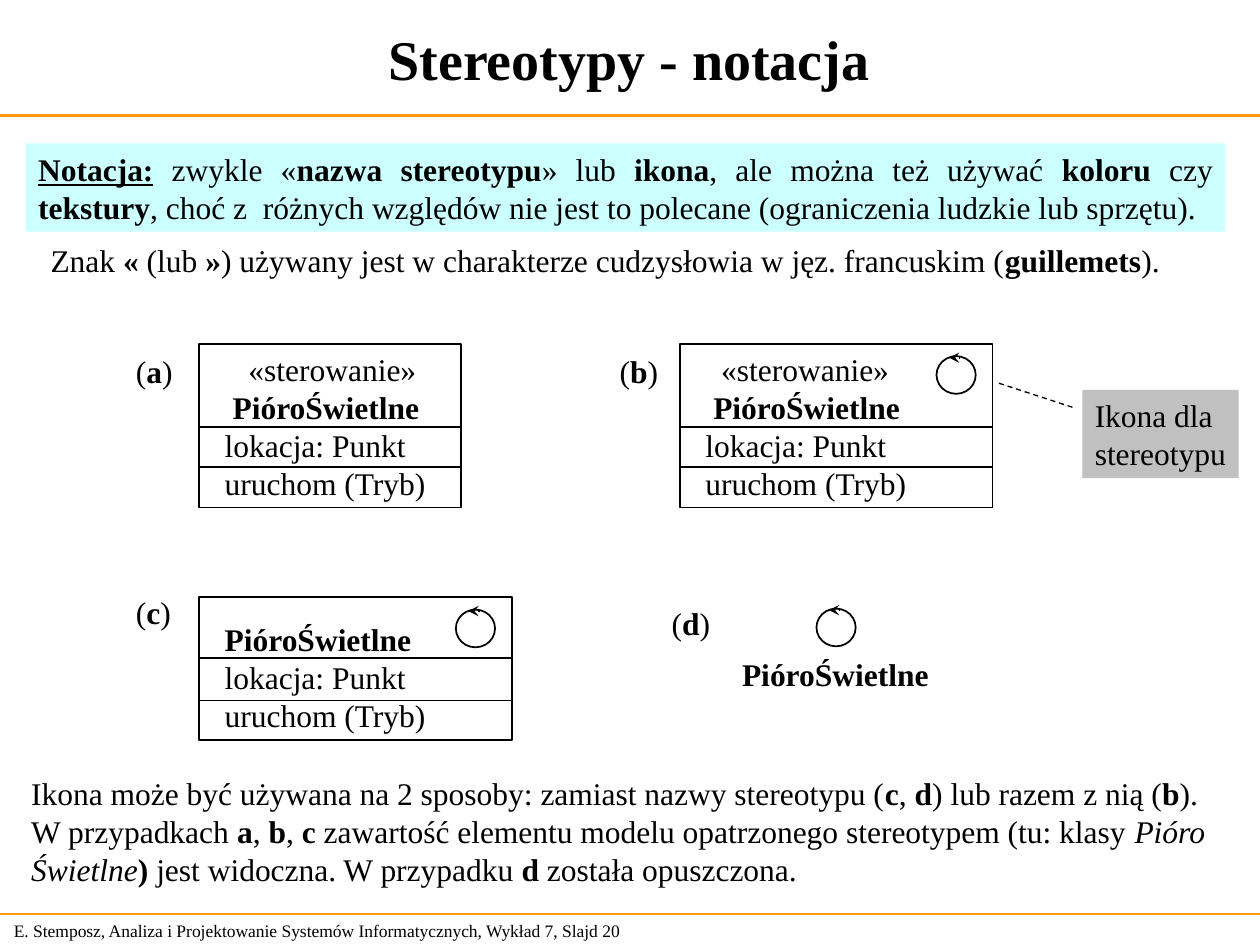
from pptx import Presentation
from pptx.dml.color import RGBColor
from pptx.enum.dml import MSO_LINE
from pptx.enum.shapes import MSO_CONNECTOR, MSO_SHAPE
from pptx.enum.text import MSO_ANCHOR, PP_ALIGN
from pptx.oxml.ns import qn
from pptx.util import Cm, Pt
from lxml.etree import SubElement

BLACK = RGBColor(0x00, 0x00, 0x00)
ORANGE = RGBColor(0xFF, 0x99, 0x00)
CYAN = RGBColor(0xCC, 0xFF, 0xFF)
GREY = RGBColor(0xC0, 0xC0, 0xC0)
FONT = "Times New Roman"
BOLD = {"bold": True}
ITALIC = {"italic": True}
SLIDE_W, SLIDE_H = 25.4, 19.05
ICON_W, ICON_H = 0.79, 0.76


def b(text):
    return text, BOLD


def write(tf, paragraphs, size=18, align=PP_ALIGN.LEFT, anchor=MSO_ANCHOR.TOP,
          wrap=True, side=0.25, top=0.13, indents=()):
    frame = {"word_wrap": wrap, "vertical_anchor": anchor,
             "margin_left": Cm(side), "margin_right": Cm(side),
             "margin_top": Cm(top), "margin_bottom": Cm(0.13)}
    for name, value in frame.items():
        setattr(tf, name, value)
    for i, runs in enumerate(paragraphs):
        p = tf.paragraphs[0] if i == 0 else tf.add_paragraph()
        p.alignment = align
        if i < len(indents):
            p._p.get_or_add_pPr().set("marL", str(Cm(indents[i])))
        for run in runs:
            text, style = (run, {}) if isinstance(run, str) else run
            r = p.add_run()
            r.text = text
            r.font.color.rgb = BLACK
            for name, value in {"name": FONT, "size": Pt(size), **style}.items():
                setattr(r.font, name, value)


def add_text(s, box, paragraphs, **fmt):
    tb = s.shapes.add_textbox(*map(Cm, box))
    write(tb.text_frame, paragraphs, **fmt)


def add_box(s, box, kind=MSO_SHAPE.RECTANGLE, fill=None):
    sp = s.shapes.add_shape(kind, *map(Cm, box))
    sp.shadow.inherit = False
    if fill is None:
        sp.fill.background()
        sp.line.color.rgb = BLACK
        sp.line.width = Pt(1)
    else:
        sp.fill.solid()
        sp.fill.fore_color.rgb = fill
        sp.line.fill.background()
    return sp


def add_line(s, x1, y1, x2, y2, color=BLACK, width=1.0, dash=None, arrow=False):
    ln = s.shapes.add_connector(MSO_CONNECTOR.STRAIGHT, *map(Cm, (x1, y1, x2, y2)))
    ln.line.color.rgb = color
    ln.line.width = Pt(width)
    if dash:
        ln.line.dash_style = dash
    if arrow:
        SubElement(ln.line._get_or_add_ln(), qn("a:tailEnd"), type="stealth")
    SubElement(ln._element.spPr, qn("a:effectLst"))


def add_icon(s, left, top):
    add_box(s, (left, top, ICON_W, ICON_H), MSO_SHAPE.OVAL)
    y = top + 0.03
    add_line(s, left + 0.48, y, left + 0.25, y, arrow=True)


def add_label(s, left, top, letter):
    add_text(s, (left, top, 1.45, 1.02), [["(", b(letter), ")"]], wrap=False)


def add_class(s, box, heading, rules, icon=False, **fmt):
    left, top, width, _ = box
    sp = add_box(s, box)
    rows = heading + [["lokacja: Punkt"], ["uruchom (Tryb)"]]
    write(sp.text_frame, rows, side=0.51, **fmt)
    for y in rules:
        add_line(s, left, top + y, left + width, top + y)
    if icon:
        add_icon(s, left + 5.17, top + 0.25)


def add_frame(s):
    for y in (2.33, 18.42):
        add_line(s, 0, y, SLIDE_W, y, ORANGE, 1.25)
    add_text(s, (0.03, 18.42, 13.31, 0.69),
             [["E. Stemposz, Analiza i Projektowanie Systemów Informatycznych, "
               "Wykład 7, Slajd 20"]], size=10, anchor=MSO_ANCHOR.MIDDLE)
    title = s.shapes.title
    box = {"left": 0, "top": 0, "width": 25.37, "height": 2.33}
    for name, value in box.items():
        setattr(title, name, Cm(value))
    write(title.text_frame, [[b("Stereotypy - notacja")]], size=32,
          align=PP_ALIGN.CENTER, anchor=MSO_ANCHOR.MIDDLE)


def add_notation(s, box):
    left, top, width, height = box
    sp = add_box(s, box, fill=CYAN)
    write(sp.text_frame, [[
        ("Notacja:", {"bold": True, "underline": True}), " zwykle «",
        b("nazwa stereotypu"), "» lub ", b("ikona"),
        ", ale można też używać ", b("koloru"), " czy ", b("tekstury"),
        ", choć z  różnych względów nie jest to polecane "
        "(ograniczenia ludzkie lub sprzętu)."]], align=PP_ALIGN.JUSTIFY)
    add_text(s, (left + 0.25, top + height + 0.05, width, 1.02), [[
        "Znak ", b("«"), " (lub ", b("»"),
        ") używany jest w charakterze cudzysłowia w jęz. francuskim (",
        b("guillemets"), ")."]])


def add_examples(s):
    name = [b("PióroŚwietlne")]
    full = [["«sterowanie»"], name]
    add_label(s, 2.49, 6.96, "a")
    add_class(s, (4.02, 6.93, 5.28, 3.3), full, (1.68, 2.49), indents=(0.48, 0.16))
    add_label(s, 12.24, 6.96, "b")
    add_class(s, (13.71, 6.93, 6.3, 3.3), full, (1.68, 2.48), icon=True,
              indents=(0.32, 0.16))
    add_label(s, 2.49, 11.83, "c")
    add_class(s, (4.02, 12.04, 6.3, 2.88), [name], (1.22, 2.08), icon=True, top=0.46)
    add_label(s, 13.29, 12.04, "d")
    add_icon(s, 16.46, 12.27)
    add_text(s, (14.71, 13.08, 4.27, 1.02), [name], wrap=False)


def add_callout(s, box):
    left, top = box[:2]
    sp = add_box(s, box, fill=GREY)
    write(sp.text_frame, [["Ikona dla"], ["stereotypu"]], wrap=False)
    add_line(s, left - 0.2, top + 0.35, left - 1.73, top - 0.15,
             width=0.75, dash=MSO_LINE.DASH)


def add_summary(s, box):
    add_text(s, box, [
        ["Ikona może być używana na 2 sposoby: zamiast nazwy stereotypu (",
         b("c"), ", ", b("d"), ") lub razem z nią (", b("b"), ")."],
        ["W przypadkach ", b("a"), ", ", b("b"), ", ", b("c"),
         " zawartość elementu modelu opatrzonego stereotypem (tu: klasy ",
         ("Pióro Świetlne", ITALIC), b(") "), "jest widoczna. W przypadku ",
         b("d"), " została opuszczona."]])


def main():
    prs = Presentation()
    prs.slide_width, prs.slide_height = Cm(SLIDE_W), Cm(SLIDE_H)
    s = prs.slides.add_slide(prs.slide_layouts[5])
    add_frame(s)
    add_notation(s, (0.52, 2.89, 24.18, 1.78))
    add_examples(s)
    add_callout(s, (21.82, 7.86, 3.15, 1.78))
    add_summary(s, (0.38, 15.48, 25.02, 2.54))
    prs.save("out.pptx")


if __name__ == "__main__":
    main()
